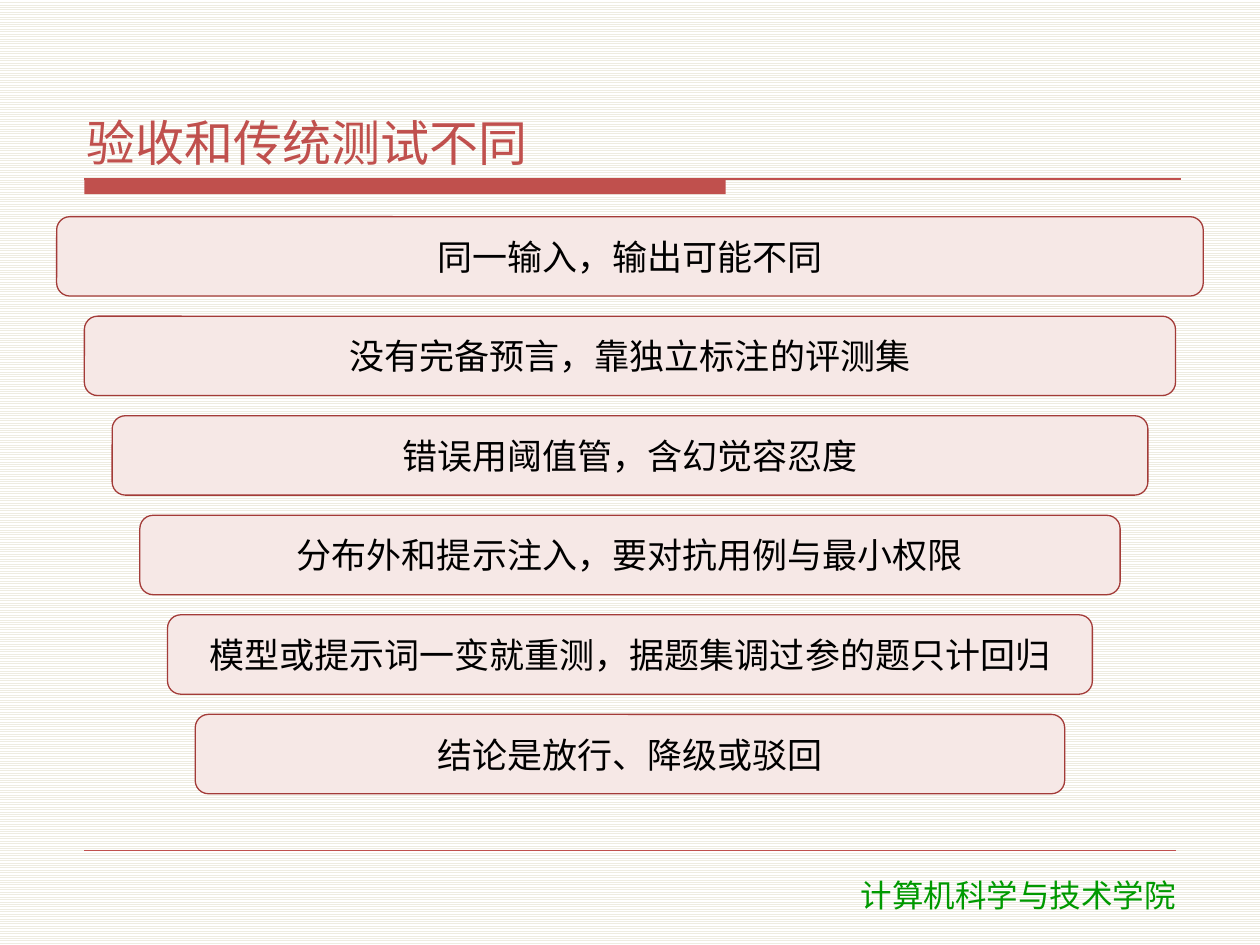
"""Builds the slide on how acceptance differs from traditional testing."""
from lxml import etree
from pptx import Presentation
from pptx import util as u
from pptx.dml.color import RGBColor
from pptx.enum import dml, shapes, text
from pptx.oxml.ns import qn

EMU_PER_PX = 9144
SANS = "Noto Sans CJK SC"
FOOTER_FONT = "DejaVu Sans"
RED = RGBColor(0xC0, 0x50, 0x4D)
DARK_RED = RGBColor(0xA3, 0x3B, 0x38)
PINK = RGBColor(0xF6, 0xE8, 0xE6)
GREEN = RGBColor(0x00, 0x99, 0x00)
BLACK = RGBColor(0, 0, 0)
CREAM = RGBColor(0xEE, 0xEC, 0xE1)
WHITE = RGBColor(0xFF, 0xFF, 0xFF)

STATEMENTS = [
    "同一输入，输出可能不同",
    "没有完备预言，靠独立标注的评测集",
    "错误用阈值管，含幻觉容忍度",
    "分布外和提示注入，要对抗用例与最小权限",
    "模型或提示词一变就重测，据题集调过参的题只计回归",
    "结论是放行、降级或驳回",
]


def px(*lengths):
    return [u.Emu(length * EMU_PER_PX) for length in lengths]


class SlideBuilder:
    def __init__(self, slide):
        self.slide = slide

    def background(self):
        fill = self.slide.background.fill
        fill.patterned()
        fill.pattern = dml.MSO_PATTERN.LIGHT_HORIZONTAL
        fill.fore_color.rgb = CREAM
        fill.back_color.rgb = WHITE

    def add_text(self, frame, wording, size, color, align, font=SANS, after=0):
        paragraph = frame.paragraphs[0]
        paragraph.alignment = align
        paragraph.space_before = u.Pt(0)
        paragraph.space_after = u.Pt(after)
        run = paragraph.add_run()
        run.text = wording
        run.font.size = u.Pt(size)
        run.font.color.rgb = color
        run.font.name = font
        properties = run._r.get_or_add_rPr()
        etree.SubElement(properties, qn("a:ea"), typeface=font)

    def inset(self, frame, anchor):
        frame.word_wrap = True
        frame.auto_size = text.MSO_AUTO_SIZE.NONE
        frame.vertical_anchor = anchor
        frame.margin_left, frame.margin_right = px(6, 6)
        frame.margin_top, frame.margin_bottom = px(2, 2)

    def title(self, wording, left, top, width, height):
        shape = self.slide.shapes.title
        shape.left, shape.top, shape.width, shape.height = px(left, top, width, height)
        self.inset(shape.text_frame, text.MSO_ANCHOR.BOTTOM)
        self.add_text(shape.text_frame, wording, 28, RED, text.PP_ALIGN.LEFT, after=2)

    def bar(self, left, top, width, height):
        shape = self.slide.shapes.add_shape(
            shapes.MSO_SHAPE.RECTANGLE, *px(left, top, width, height))
        shape.shadow.inherit = False
        shape.fill.solid()
        shape.fill.fore_color.rgb = RED
        shape.line.fill.background()

    def rule(self, left, right, y, weight):
        connector = self.slide.shapes.add_connector(
            shapes.MSO_CONNECTOR.STRAIGHT, *px(left, y, right, y))
        connector.line.color.rgb = RED
        connector.line.width = u.Pt(weight)
        etree.SubElement(connector._element.spPr, qn("a:effectLst"))

    def box(self, wording, left, top, width, height):
        shape = self.slide.shapes.add_shape(
            shapes.MSO_SHAPE.ROUNDED_RECTANGLE, *px(left, top, width, height))
        shape.shadow.inherit = False
        shape.fill.solid()
        shape.fill.fore_color.rgb = PINK
        shape.line.color.rgb = DARK_RED
        shape.line.width = u.Pt(0.75)
        self.inset(shape.text_frame, text.MSO_ANCHOR.MIDDLE)
        self.add_text(shape.text_frame, wording, 20, BLACK, text.PP_ALIGN.CENTER, after=2)

    def label(self, wording, left, top, width, height):
        shape = self.slide.shapes.add_textbox(*px(left, top, width, height))
        shape.text_frame.word_wrap = True
        self.add_text(shape.text_frame, wording, 18, GREEN, text.PP_ALIGN.CENTER, FOOTER_FONT)


def main():
    presentation = Presentation()
    presentation.slide_width, presentation.slide_height = px(1000, 750)
    slide = presentation.slides.add_slide(presentation.slide_layouts[5])
    builder = SlideBuilder(slide)
    builder.background()
    builder.bar(67, 142, 509, 12)
    builder.rule(67, 937, 142, 0.75)
    builder.rule(67, 933, 675, 0.25)
    builder.label("计算机科学与技术学院", 607, 690, 402, 40)
    builder.title("验收和传统测试不同", 63, 33, 875, 105)
    for index, statement in enumerate(STATEMENTS):
        left = 45 + 22 * index
        builder.box(statement, left, 172 + 79 * index, 1000 - 2 * left, 63)
    presentation.save("out.pptx")


if __name__ == "__main__":
    main()
